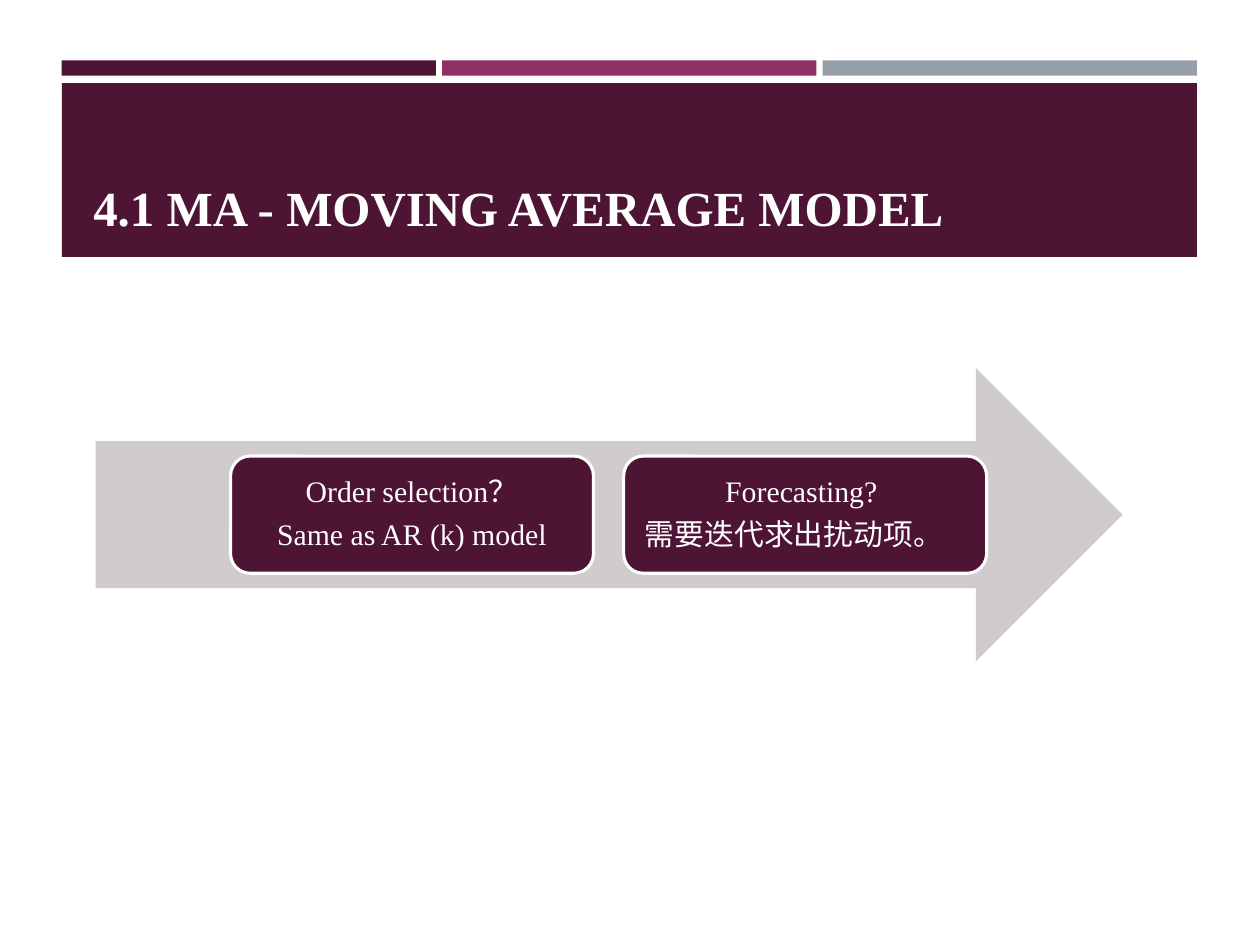
from pptx import Presentation
from pptx.dml.color import RGBColor
from pptx.enum.shapes import MSO_SHAPE as Kind
from pptx.enum.text import MSO_ANCHOR as Anchor, MSO_AUTO_SIZE as Fit, PP_ALIGN as Align
from pptx.util import Inches, Pt

PLUM = RGBColor(0x4D, 0x14, 0x34)
ROSE = RGBColor(0x90, 0x31, 0x63)
SLATE = RGBColor(0x96, 0x9F, 0xA7)
GREY = RGBColor(0xD0, 0xCC, 0xCE)
WHITE = RGBColor(0xFF, 0xFF, 0xFF)

TITLE = "4.1 MA - MOVING AVERAGE MODEL"
STEPS = [
    [("Order selection？", Align.CENTER), ("Same as AR (k) model", Align.CENTER)],
    [("Forecasting? ", Align.CENTER), (" 需要迭代求出扰动项。", Align.LEFT)],
]
STRIPES = [PLUM, ROSE, SLATE]
LEFT, WIDTH, GAP = 0.49, 9.01, 0.05
STEP_LEFT, STEP_WIDTH, STEP_GAP = 1.83, 2.88, 0.24


def write(shape, lines, size, bold=False, anchor=Anchor.MIDDLE, inset=None, line=None, after=None):
    frame = shape.text_frame
    frame.word_wrap = True
    frame.auto_size = Fit.NONE
    frame.vertical_anchor = anchor
    if inset is not None:
        frame.margin_left = frame.margin_right = Inches(inset)
        frame.margin_top = frame.margin_bottom = Inches(inset)
    for i, (text, align) in enumerate(lines):
        para = frame.add_paragraph() if i else frame.paragraphs[0]
        para.alignment = align
        para.line_spacing = line
        para.space_after = after
        run = para.add_run()
        run.text = text
        font = run.font
        font.name, font.size, font.bold = "Times New Roman", Pt(size), bold
        font.color.rgb = WHITE


def draw(slide, kind, box, fill, edge=None):
    shape = slide.shapes.add_shape(kind, *map(Inches, box))
    shape.shadow.inherit = False
    shape.fill.solid()
    shape.fill.fore_color.rgb = fill
    if edge:
        shape.line.color.rgb = edge
        shape.line.width = Pt(1.75)
    else:
        shape.line.fill.background()
    return shape


def main():
    deck = Presentation()
    deck.slide_width, deck.slide_height = Inches(10), Inches(7.5)
    slide = deck.slides.add_slide(deck.slide_layouts[5])

    wide = (WIDTH - GAP * (len(STRIPES) - 1)) / len(STRIPES)
    for i, color in enumerate(STRIPES):
        draw(slide, Kind.RECTANGLE, (LEFT + i * (wide + GAP), 0.48, wide, 0.12), color)
    draw(slide, Kind.RECTANGLE, (LEFT, 0.66, WIDTH, 1.38), PLUM)

    title = slide.shapes.title
    title.left, title.top, title.width, title.height = map(Inches, (0.64, 0.75, 8.74, 1.18))
    write(title, [(TITLE, Align.LEFT)], 28, bold=True, anchor=Anchor.BOTTOM)
    title.element.getparent().append(title.element)

    draw(slide, Kind.RIGHT_ARROW, (0.76, 2.92, 8.15, 2.33), GREY)
    for i, lines in enumerate(STEPS):
        left = STEP_LEFT + i * (STEP_WIDTH + STEP_GAP)
        step = draw(slide, Kind.ROUNDED_RECTANGLE, (left, 3.62, STEP_WIDTH, 0.93), PLUM, WHITE)
        write(step, lines, 17, inset=0.07, line=0.9, after=Pt(6))

    deck.save("out.pptx")


if __name__ == "__main__":
    main()
